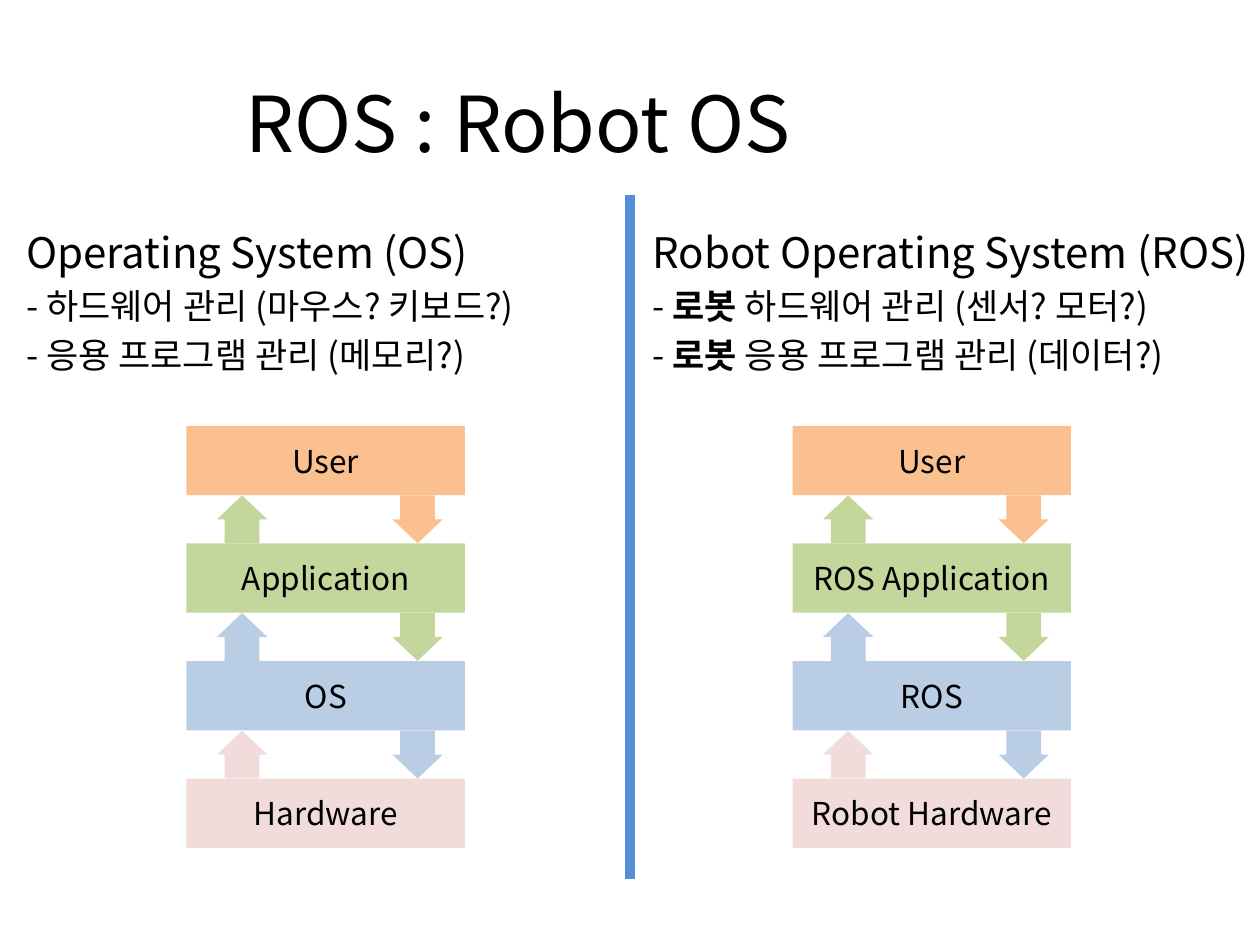
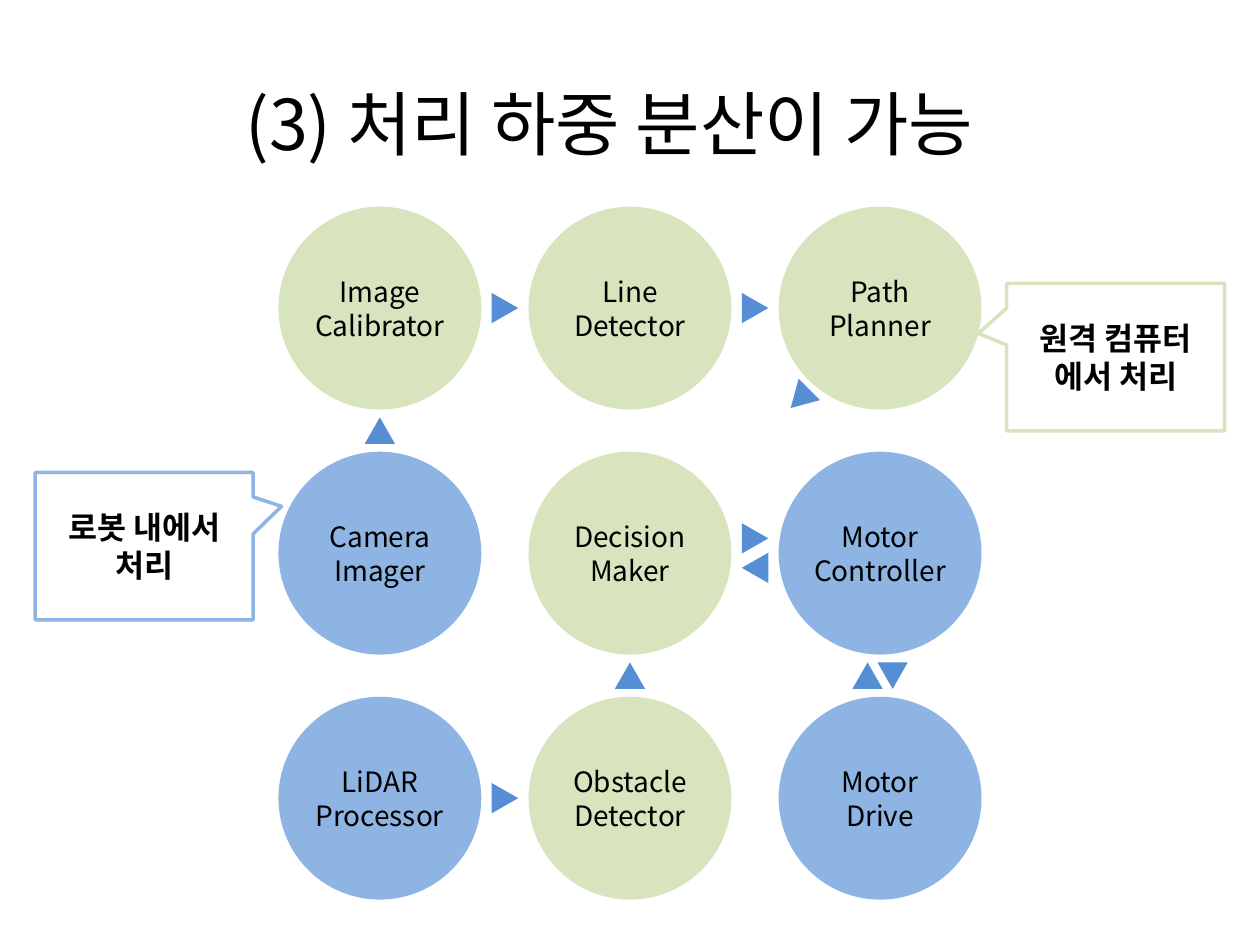
from itertools import product

from lxml.etree import SubElement
from pptx import Presentation
from pptx.dml.color import RGBColor
from pptx.enum.shapes import MSO_CONNECTOR as Connector, MSO_SHAPE as Shape
from pptx.enum.text import MSO_ANCHOR as Anchor, PP_ALIGN as Align
from pptx.oxml.ns import qn
from pptx.util import Inches, Pt

COLUMNS, ROWS = 100, 75
UNIT = Inches(0.1)
FONT = "Noto Sans CJK KR"
BLACK, BLUE = "000000", "558ED5"
ORANGE, GREEN, PALE_BLUE, PINK = "FAC090", "C3D69B", "B9CDE5", "F2DCDB"
REMOTE, ONBOARD = "D7E4BD", "8EB4E3"


def color(value):
    return RGBColor.from_string(value)


def grid(*values):
    return [round(value * UNIT) for value in values]


def style(paragraph, size, bold=False, align=Align.LEFT):
    paragraph.alignment = align
    font = paragraph.font
    font.name, font.size, font.bold = FONT, Pt(size), bold
    font.color.rgb = color(BLACK)
    defaults = paragraph._p.pPr.find(qn("a:defRPr"))
    SubElement(defaults, qn("a:ea")).set("typeface", FONT)


def add_text_box(slide, box, anchor=Anchor.TOP):
    frame = slide.shapes.add_textbox(*grid(*box)).text_frame
    frame.word_wrap = True
    frame.vertical_anchor = anchor
    return frame


def add_shape(slide, kind, box, fill=None, outline=None, rotation=0, adjustments=()):
    shape = slide.shapes.add_shape(kind, *grid(*box))
    shape.shadow.inherit = False
    shape.rotation = rotation
    for index, value in enumerate(adjustments):
        shape.adjustments[index] = value
    if fill:
        shape.fill.solid()
        shape.fill.fore_color.rgb = color(fill)
    else:
        shape.fill.background()
    if outline:
        shape.line.color.rgb = color(outline)
        shape.line.width = Pt(2)
    else:
        shape.line.fill.background()
    return shape


def label(shape, text, size, bold=False, inset=None):
    frame = shape.text_frame
    frame.word_wrap = True
    frame.vertical_anchor = Anchor.MIDDLE
    if inset is not None:
        frame.margin_left = frame.margin_right = inset
        frame.margin_top = frame.margin_bottom = inset
    frame.text = text
    for paragraph in frame.paragraphs:
        style(paragraph, size, bold, Align.CENTER)


def add_title(slide, text, size):
    frame = add_text_box(slide, (18.5, 5.2, 76.5, 9), Anchor.MIDDLE)
    frame.text = text
    style(frame.paragraphs[0], size)


def add_summary(slide, box, heading, duties, emphasis=""):
    frame = add_text_box(slide, box)
    frame.text = heading
    for duty in duties:
        paragraph = frame.add_paragraph()
        paragraph.text = "- "
        if emphasis:
            run = paragraph.add_run()
            run.text = emphasis
            run.font.bold = True
        paragraph.add_run().text = duty
    for index, paragraph in enumerate(frame.paragraphs):
        size = 20 if index else 24
        style(paragraph, size)
        paragraph.space_before = Pt(size * 0.2)


def add_layers(slide, box, names):
    left, top, width, height = box
    fills = [ORANGE, GREEN, PALE_BLUE, PINK]
    layer_height, arrow_width, arrow_height = 5.5, 3.8, 4
    pitch = (height - layer_height) / (len(names) - 1)

    def add_arrow(share, gap, fill, rotation):
        x = left + width * share - arrow_width / 2
        y = top + gap * pitch + (layer_height + pitch - arrow_height) / 2
        add_shape(slide, Shape.RIGHT_ARROW, (x, y, arrow_width, arrow_height),
                  fill, rotation=rotation, adjustments=(0.69, 0.5))

    for index, (name, fill) in enumerate(zip(names, fills)):
        layer_box = (left, top + index * pitch, width, layer_height)
        label(add_shape(slide, Shape.RECTANGLE, layer_box, fill), name, 18)
        if index < len(names) - 1:
            add_arrow(0.83, index, fill, 90)
        if index:
            add_arrow(0.2, index - 1, fill, 270)


def add_divider(slide, x, top, bottom):
    divider = slide.shapes.add_connector(Connector.STRAIGHT, *grid(x, top, x, bottom))
    divider.line.color.rgb = color(BLUE)
    divider.line.width = Pt(6)
    SubElement(divider._element.spPr, qn("a:effectLst"))


def add_node_grid(slide, box, nodes, flows):
    left, top, width, height = box
    diameter = 16.1
    step_x, step_y = (width - diameter) / 2, (height - diameter) / 2
    for (row, column), (name, fill) in zip(product(range(3), repeat=2), nodes):
        node_box = (left + column * step_x, top + row * step_y, diameter, diameter)
        label(add_shape(slide, Shape.OVAL, node_box, fill), name, 16, inset=0)
    flow_width, flow_height = 2.4, 2.1
    for column, row, rotation in flows:
        x = left + column * step_x + (diameter - flow_width) / 2
        y = top + row * step_y + (diameter - flow_height) / 2
        add_shape(slide, Shape.ISOSCELES_TRIANGLE, (x, y, flow_width, flow_height),
                  BLUE, rotation=rotation)


def add_callout(slide, left, top, text, outline, tip):
    callout = add_shape(slide, Shape.RECTANGULAR_CALLOUT, (left, top, 17.3, 11.7),
                        outline=outline, adjustments=tip)
    label(callout, text, 18, bold=True)


def build_comparison(slide):
    add_title(slide, "ROS : Robot OS", 44)
    add_summary(slide, (1.1, 17.5, 47.4, 49.5), "Operating System (OS)",
                ["하드웨어 관리 (마우스? 키보드?)", "응용 프로그램 관리 (메모리?)"])
    add_layers(slide, (14.8, 33.8, 22.1, 33.5),
               ["User", "Application", "OS", "Hardware"])
    add_summary(slide, (50.8, 17.5, 51.2, 49.5), "Robot Operating System (ROS)",
                ["하드웨어 관리 (센서? 모터?)", "응용 프로그램 관리 (데이터?)"], "로봇 ")
    add_layers(slide, (62.9, 33.8, 22.1, 33.5),
               ["User", "ROS Application", "ROS", "Robot Hardware"])
    add_divider(slide, COLUMNS / 2, 15.5, 69.8)


def build_distribution(slide):
    add_title(slide, "(3) 처리 하중 분산이 가능", 40)
    nodes = [
        ("Image\nCalibrator", REMOTE), ("Line Detector", REMOTE), ("Path Planner", REMOTE),
        ("Camera\vImager", ONBOARD), ("Decision\vMaker", REMOTE),
        ("Motor Controller", ONBOARD), ("LiDAR\vProcessor", ONBOARD),
        ("Obstacle\vDetector", REMOTE), ("Motor Drive", ONBOARD),
    ]
    flows = [
        (0, 0.5, 0), (1, 1.5, 0), (0.5, 0, 90), (1.5, 0, 90), (0.5, 2, 90),
        (1.95, 1.5, 0), (2.05, 1.5, 180), (1.5, 0.94, 90), (1.5, 1.06, 270),
        (1.68, 0.37, 225),
    ]
    add_node_grid(slide, (22.1, 16.4, 55.8, 55), nodes, flows)
    add_callout(slide, 2.8, 37.5, "로봇 내에서\n처리", ONBOARD, (0.63, -0.27))
    add_callout(slide, 79.9, 22.5, "원격 컴퓨터\v에서 처리", REMOTE, (-0.63, -0.16))


presentation = Presentation()
presentation.slide_width, presentation.slide_height = grid(COLUMNS, ROWS)
for build in (build_comparison, build_distribution):
    build(presentation.slides.add_slide(presentation.slide_layouts[6]))
presentation.save("out.pptx")
